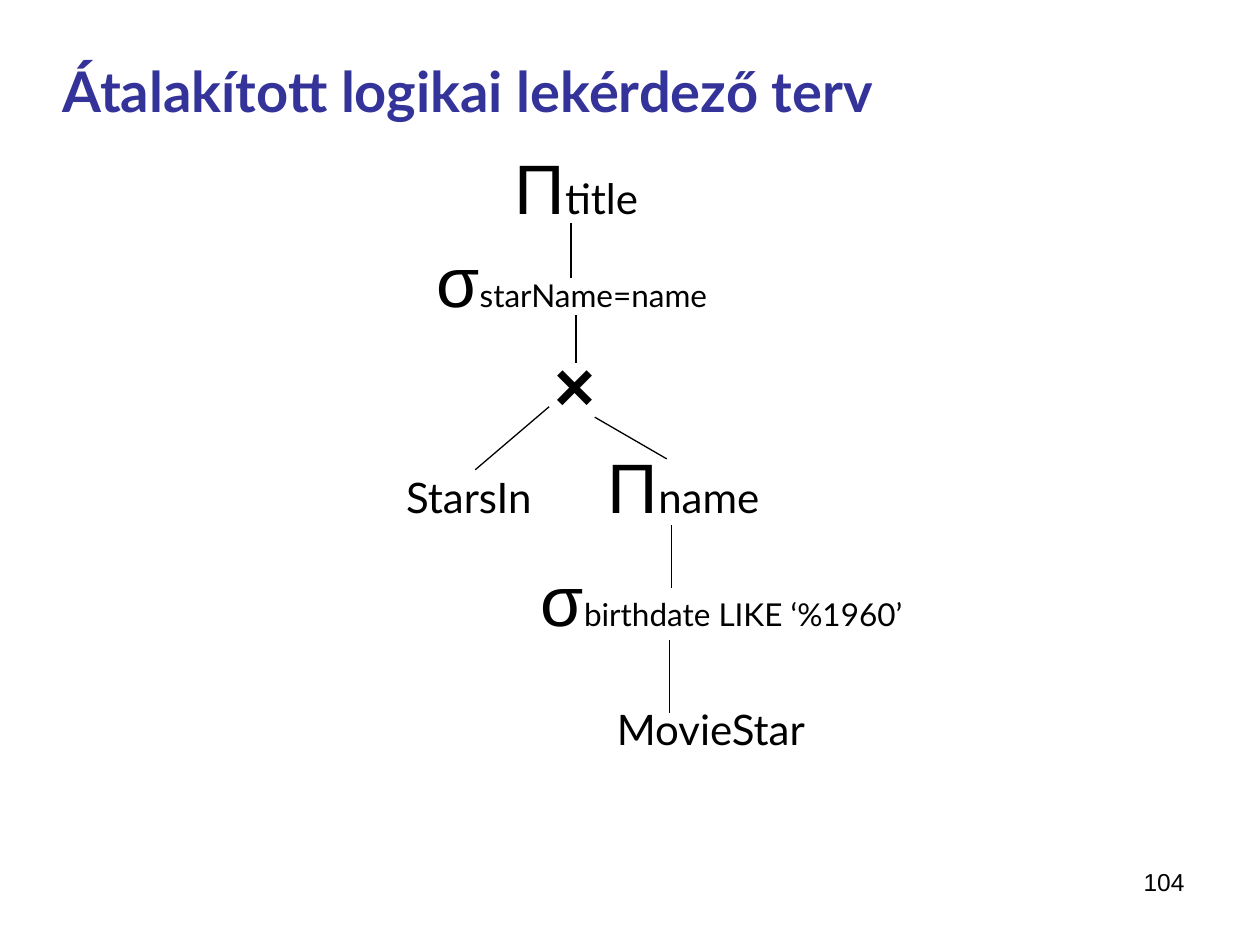
import pptx
import pptx.util
import pptx.dml.color
import pptx.enum.shapes
import pptx.enum.text
import lxml.etree
from pptx.oxml.ns import qn

Cm = pptx.util.Cm
Pt = pptx.util.Pt
Align = pptx.enum.text.PP_ALIGN
Anchor = pptx.enum.text.MSO_ANCHOR

BLACK = pptx.dml.color.RGBColor(0x00, 0x00, 0x00)
INDIGO = pptx.dml.color.RGBColor(0x33, 0x33, 0x99)

TITLE = {"name": "Lato", "size": Pt(32), "bold": True, "color": INDIGO}
NUMBER = {"name": "Arial", "size": Pt(14), "color": BLACK}
OPERATOR = {"name": "Arial", "size": Pt(40), "color": BLACK}
PRODUCT = {**OPERATOR, "bold": True}
RELATION = {"name": "Lato", "size": Pt(24), "color": BLACK}
CONDITION = {**RELATION, "size": Pt(18)}

OPERATOR_HEIGHT = 1.96
RELATION_HEIGHT = 1.27

NODES = [
    (11.62, 3.75, 3.12, OPERATOR_HEIGHT, [("Π", OPERATOR), ("title", RELATION)]),
    (11.53, 5.63, 6.35, OPERATOR_HEIGHT, [("σ", OPERATOR), ("starName=name", CONDITION)]),
    (11.58, 7.73, 1.63, OPERATOR_HEIGHT, [("×", PRODUCT)]),
    (9.45, 10.01, 3.6, RELATION_HEIGHT, [("StarsIn", RELATION)]),
    (13.78, 9.79, 3.9, OPERATOR_HEIGHT, [("Π", OPERATOR), ("name", RELATION)]),
    (14.55, 12.06, 7.95, OPERATOR_HEIGHT,
     [("σ", OPERATOR), ("birthdate LIKE ‘%1960’", CONDITION)]),
    (14.33, 14.7, 4.72, RELATION_HEIGHT, [("MovieStar", RELATION)]),
]

EDGES = [
    (11.51, 4.5, 11.51, 5.61),
    (11.61, 6.35, 11.61, 7.32),
    (11.07, 8.2, 9.58, 9.47),
    (11.99, 8.41, 13.44, 9.25),
    (13.54, 10.59, 13.54, 11.86),
    (13.49, 12.9, 13.49, 14.38),
]


def add_text(page, left, top, width, height, spans, align, anchor, wrap=True):
    box = page.shapes.add_textbox(Cm(left), Cm(top), Cm(width), Cm(height))
    frame = box.text_frame
    frame.word_wrap = wrap
    frame.vertical_anchor = anchor
    para = frame.paragraphs[0]
    para.alignment = align
    for text, look in spans:
        span = para.add_run()
        span.text = text
        for key, value in look.items():
            if key == "color":
                span.font.color.rgb = value
            else:
                setattr(span.font, key, value)


def add_edge(page, *ends):
    edge = page.shapes.add_connector(
        pptx.enum.shapes.MSO_CONNECTOR.STRAIGHT, *map(Cm, ends))
    edge.line.color.rgb = BLACK
    edge.line.width = Pt(0.75)
    lxml.etree.SubElement(edge._element.spPr, qn("a:effectLst"))


def main():
    deck = pptx.Presentation()
    deck.slide_width, deck.slide_height = Cm(25.4), Cm(19.05)
    page = deck.slides.add_slide(deck.slide_layouts[6])
    add_text(page, 1.02, 0.58, 23.27, 2.46,
             [("Átalakított logikai lekérdező terv", TITLE)], Align.LEFT, Anchor.MIDDLE)
    for center_x, center_y, width, height, spans in NODES:
        add_text(page, center_x - width / 2, center_y - height / 2, width, height,
                 spans, Align.CENTER, Anchor.MIDDLE, wrap=False)
    for edge in EDGES:
        add_edge(page, *edge)
    add_text(page, 18.21, 17.35, 5.92, 1.32, [("104", NUMBER)], Align.RIGHT, Anchor.TOP)
    deck.save("out.pptx")


if __name__ == "__main__":
    main()
